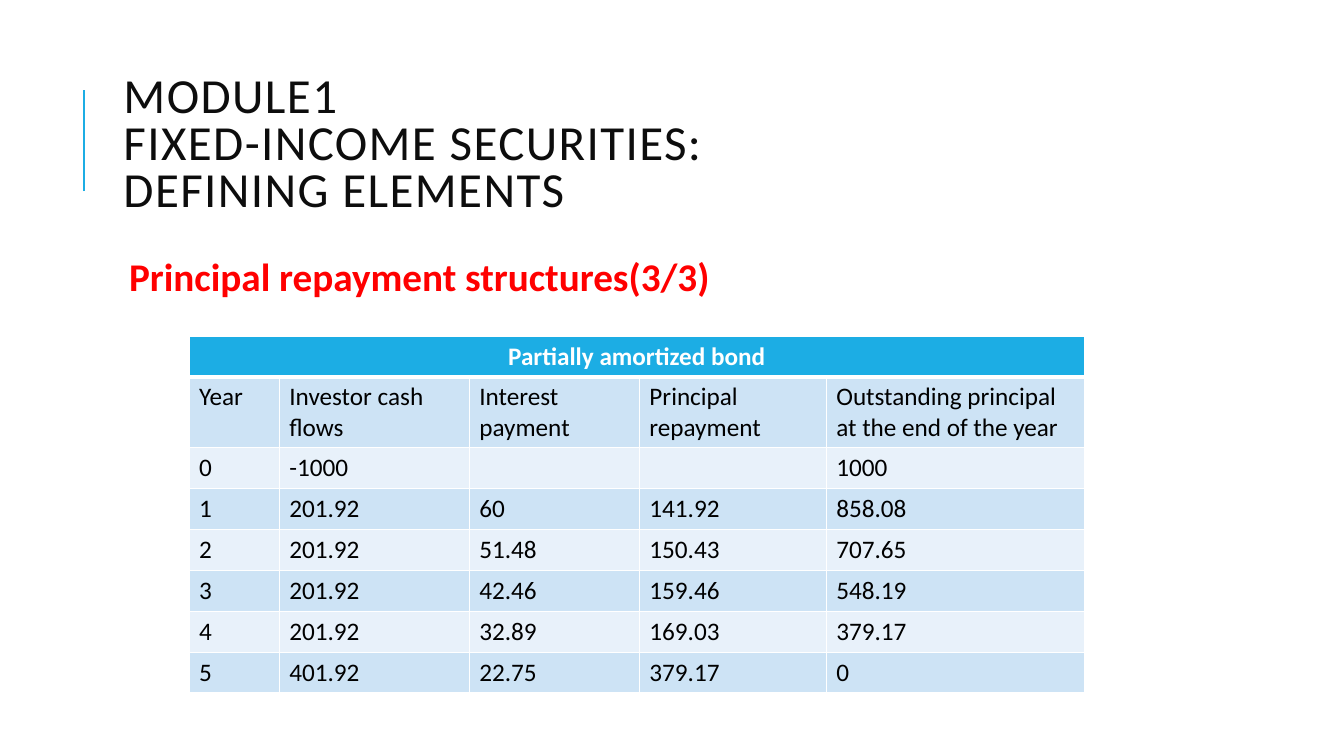
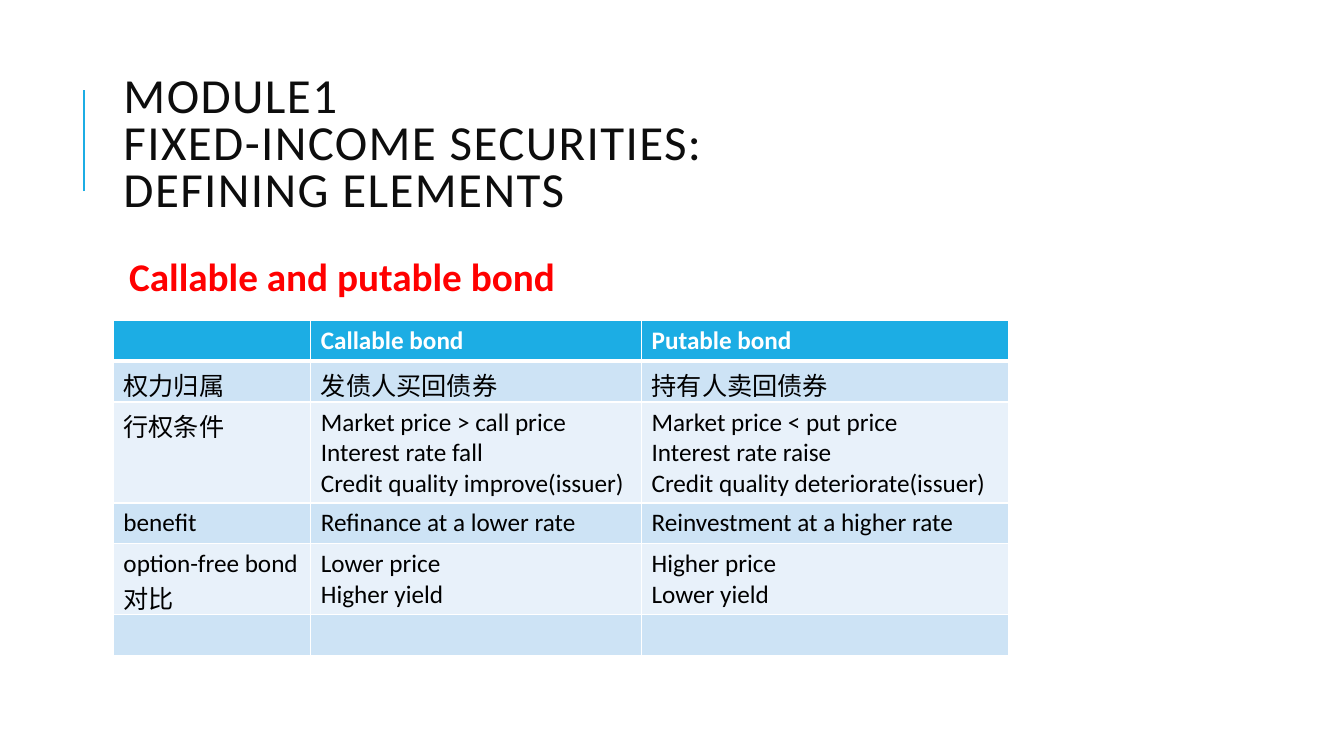
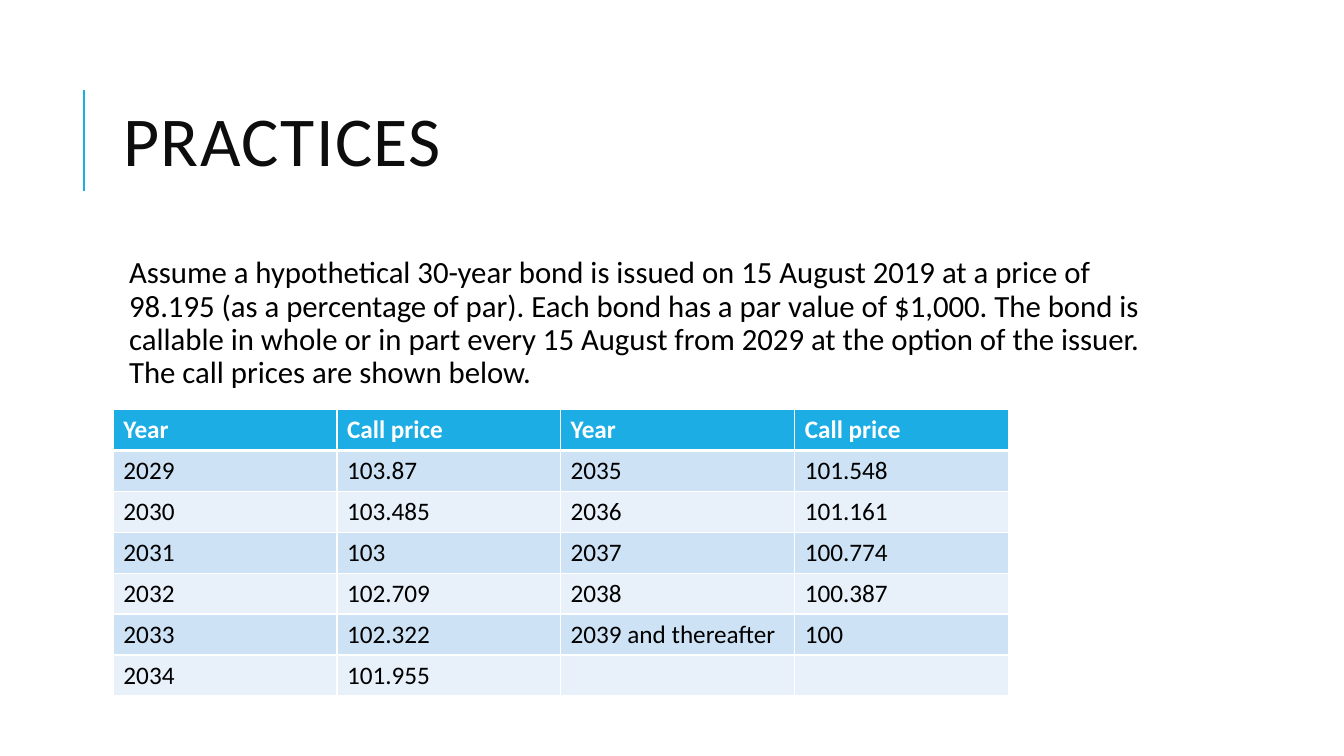
from copy import deepcopy
from dataclasses import dataclass

from lxml.etree import SubElement
from pptx import Presentation
from pptx.dml.color import RGBColor
from pptx.enum.shapes import MSO_CONNECTOR
from pptx.enum.text import MSO_ANCHOR, MSO_AUTO_SIZE, PP_ALIGN
from pptx.oxml import parse_xml
from pptx.oxml.ns import nsdecls, qn
from pptx.presentation import Presentation as Deck
from pptx.slide import Slide
from pptx.util import Emu, Pt

FONT = "Calibri"
ACCENT = RGBColor(0x1C, 0xAD, 0xE4)
TITLE_INK = RGBColor(0x0D, 0x0D, 0x0D)
BLACK = RGBColor(0x00, 0x00, 0x00)
WHITE = RGBColor(0xFF, 0xFF, 0xFF)
RED = RGBColor(0xFF, 0x00, 0x00)
BAND_DARK = RGBColor(0xCD, 0xE3, 0xF5)
BAND_LIGHT = RGBColor(0xE8, 0xF1, 0xFA)

LEFT = 108
CONTENT_WIDTH = 1020
ROW_HEIGHT = 39
MODULE_TITLE = "MODULE1\vFIXED-INCOME SECURITIES: \vDEFINING ELEMENTS"


@dataclass(frozen=True)
class TextStyle:
    size: int
    color: RGBColor
    bold: bool = False


@dataclass(frozen=True)
class TableSpec:
    """A header with a single entry spans all columns."""
    left: int
    top: int
    columns: list[int]
    header: list[str]
    rows: list[list[str]]


@dataclass(frozen=True)
class PageSpec:
    title: str
    title_size: int
    body: str
    body_style: TextStyle
    table: TableSpec


HEADING = TextStyle(28, RED, True)
PROSE = TextStyle(22, BLACK)
HEADER_CELL = TextStyle(18, WHITE, True)
BODY_CELL = TextStyle(18, BLACK)

PAGES = [
    PageSpec(
        MODULE_TITLE, 35, "Principal repayment structures(3/3)", HEADING,
        TableSpec(
            180, 320, [86, 181, 162, 178, 246],
            ["Partially amortized bond"],
            [
                ["Year", "Investor cash flows", "Interest payment", "Principal repayment",
                 "Outstanding principal at the end of the year"],
                ["0", "-1000", "", "", "1000"],
                ["1", "201.92", "60", "141.92", "858.08"],
                ["2", "201.92", "51.48", "150.43", "707.65"],
                ["3", "201.92", "42.46", "159.46", "548.19"],
                ["4", "201.92", "32.89", "169.03", "379.17"],
                ["5", "401.92", "22.75", "379.17", "0"],
            ],
        ),
    ),
    PageSpec(
        MODULE_TITLE, 35, "Callable and putable bond", HEADING,
        TableSpec(
            LEFT, 305, [188, 315, 350],
            ["", "Callable bond", "Putable bond"],
            [
                ["权力归属", "发债人买回债券", "持有人卖回债券"],
                ["行权条件",
                 "Market price > call price\nInterest rate fall\nCredit quality improve(issuer)",
                 "Market price < put price\nInterest rate raise\nCredit quality deteriorate(issuer)"],
                ["benefit", "Refinance at a lower rate", "Reinvestment at a higher rate"],
                ["option-free bond 对比", "Lower price\nHigher yield", "Higher price\nLower yield"],
                ["", "", ""],
            ],
        ),
    ),
    PageSpec(
        "PRACTICES", 50,
        "Assume a hypothetical 30-year bond is issued on 15 August 2019 at a price of 98.195 "
        "(as a percentage of par). Each bond has a par value of $1,000. The bond is callable in "
        "whole or in part every 15 August from 2029 at the option of the issuer. The call prices "
        "are shown below.",
        PROSE,
        TableSpec(
            LEFT, 390, [213, 213, 223, 204],
            ["Year", "Call price", "Year", "Call price"],
            [
                ["2029", "103.87", "2035", "101.548"],
                ["2030", "103.485", "2036", "101.161"],
                ["2031", "103", "2037", "100.774"],
                ["2032", "102.709", "2038", "100.387"],
                ["2033", "102.322", "2039 and thereafter", "100"],
                ["2034", "101.955", "", ""],
            ],
        ),
    ),
]


def px(length: int) -> Emu:
    return Emu(length * 9525)


def style_text(frame, style: TextStyle) -> None:
    for paragraph in frame.paragraphs:
        for span in paragraph.runs:
            span.font.name = FONT
            span.font.size = Pt(style.size)
            span.font.bold = style.bold
            span.font.color.rgb = style.color


def add_title(page: Slide, text: str, size: int) -> None:
    title = page.shapes.title
    title.left, title.top = px(LEFT), px(61)
    title.width, title.height = px(CONTENT_WIDTH), px(157)
    frame = title.text_frame
    frame.text = text
    frame.auto_size = MSO_AUTO_SIZE.NONE
    frame.vertical_anchor = MSO_ANCHOR.MIDDLE
    paragraph = frame.paragraphs[0]
    paragraph.alignment = PP_ALIGN.LEFT
    paragraph.line_spacing = 0.8
    style_text(frame, TextStyle(size, TITLE_INK))
    for span in paragraph.runs:
        span.font._element.set("spc", "100")
    # Line breaks carry the text size too, so that line heights stay even.
    for line_break in paragraph._p.findall(qn("a:br")):
        line_break.append(deepcopy(paragraph.runs[0].font._element))


def add_title_bar(page: Slide) -> None:
    bar = page.shapes.add_connector(MSO_CONNECTOR.STRAIGHT, px(80), px(182), px(80), px(86))
    bar.line.color.rgb = ACCENT
    bar.line.width = Pt(1.5)
    SubElement(bar._element.spPr, qn("a:effectLst"))


def add_body(page: Slide, text: str, style: TextStyle) -> None:
    box = page.shapes.add_textbox(px(LEFT), px(240), px(CONTENT_WIDTH), px(422))
    frame = box.text_frame
    frame.word_wrap = True
    frame.margin_left = frame.margin_right = frame.margin_top = frame.margin_bottom = px(5)
    frame.text = text
    paragraph = frame.paragraphs[0]
    paragraph.line_spacing = 0.9
    paragraph.space_before, paragraph.space_after = Pt(12), Pt(2)
    paragraph._p.get_or_add_pPr().set("marL", str(px(10)))
    style_text(frame, style)


def set_borders(cell, top: int, bottom: int) -> None:
    """Draw white borders; top and bottom widths are in points."""
    properties = cell._tc.get_or_add_tcPr()
    for index, (side, width) in enumerate(zip("LRTB", (1, 1, top, bottom))):
        properties.insert(index, parse_xml(
            f'<a:ln{side} {nsdecls("a")} w="{Pt(width)}"><a:solidFill>'
            f'<a:srgbClr val="{WHITE}"/></a:solidFill></a:ln{side}>'))


def add_grid(page: Slide, spec: TableSpec) -> None:
    column_count = len(spec.columns)
    spanning = len(spec.header) == 1
    header = spec.header + [""] * (column_count - len(spec.header))
    lines = [header, *spec.rows]
    table = page.shapes.add_table(
        len(lines), column_count, px(spec.left), px(spec.top),
        px(sum(spec.columns)), px(ROW_HEIGHT * len(lines))).table
    table.horz_banding = False
    for column, width in zip(table.columns, spec.columns):
        column.width = px(width)
    for row_index, values in enumerate(lines):
        table.rows[row_index].height = px(ROW_HEIGHT)
        is_header = row_index == 0
        band = BAND_DARK if row_index % 2 else BAND_LIGHT
        for column_index, value in enumerate(values):
            cell = table.cell(row_index, column_index)
            cell.fill.solid()
            cell.fill.fore_color.rgb = ACCENT if is_header else band
            set_borders(cell, 3 if row_index == 1 else 1, 3 if is_header else 1)
            cell.text_frame.text = value
            style_text(cell.text_frame, HEADER_CELL if is_header else BODY_CELL)
    if spanning:
        table.cell(0, 0).merge(table.cell(0, column_count - 1))
        table.cell(0, 0).text_frame.paragraphs[0].alignment = PP_ALIGN.CENTER


def add_page(deck: Deck, spec: PageSpec) -> None:
    page = deck.slides.add_slide(deck.slide_layouts.get_by_name("Title Only"))
    add_title_bar(page)
    add_title(page, spec.title, spec.title_size)
    add_body(page, spec.body, spec.body_style)
    add_grid(page, spec.table)


def main() -> None:
    deck = Presentation()
    deck.slide_width, deck.slide_height = px(1280), px(720)
    for spec in PAGES:
        add_page(deck, spec)
    deck.save("out.pptx")


if __name__ == "__main__":
    main()
